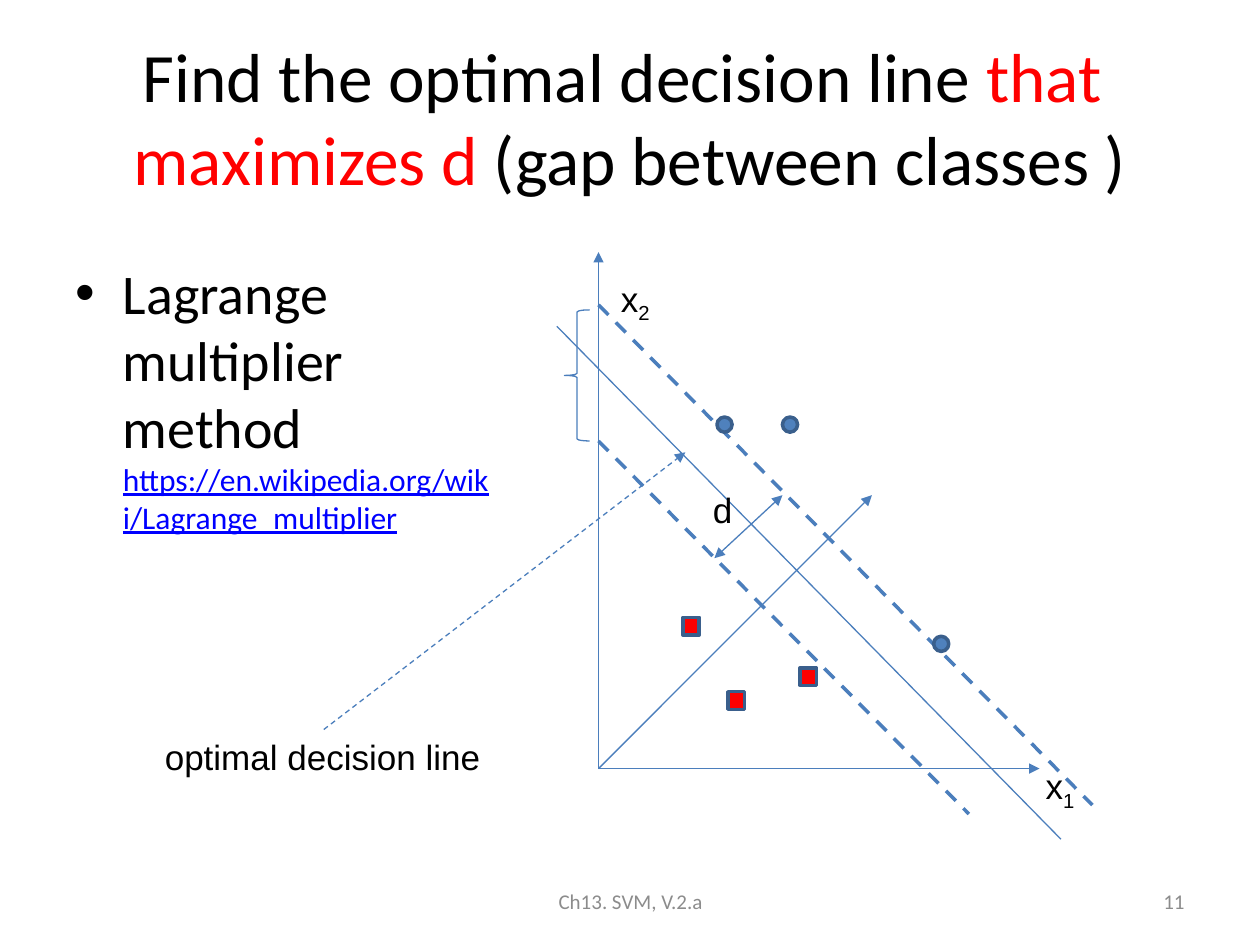
from lxml.etree import SubElement
from pptx import Presentation
from pptx.dml.color import RGBColor
from pptx.enum.dml import MSO_LINE as Dash
from pptx.enum.shapes import MSO_CONNECTOR as Link, MSO_SHAPE as Shape
from pptx.enum.text import MSO_ANCHOR as Anchor, MSO_AUTO_SIZE as Fit, PP_ALIGN as Align
from pptx.oxml.ns import qn
from pptx.util import Inches, Pt

BLACK = RGBColor(0x00, 0x00, 0x00)
RED = RGBColor(0xFF, 0x00, 0x00)
GRAY = RGBColor(0x8C, 0x8C, 0x8C)
URL = RGBColor(0x00, 0x00, 0xFF)
LINE = RGBColor(0x4B, 0x7E, 0xBC)
EDGE = RGBColor(0x3A, 0x5F, 0x8C)
BLUE = RGBColor(0x4F, 0x81, 0xBD)

BREAK = None
TITLE = [
    ("Find the optimal decision line ", 39.6, BLACK),
    ("that ", 39.6, RED),
    BREAK,
    ("maximizes d", 39.6, RED),
    (" (gap between classes )", 39.6, BLACK),
]
BODY = [
    ("Lagrange multiplier method", 32, BLACK),
    BREAK,
    ("https://en.wikipedia.org/wiki/Lagrange_multiplier", 18, URL),
]
FOOTER = [
    ("Ch13. SVM, V.2.a", (3.42, 6.95, 3.17, 0.4), Align.CENTER),
    ("11", (7.17, 6.95, 2.33, 0.4), Align.RIGHT),
]
LABELS = [
    ("x", "2", (4.83, 2.15, 0.58, 0.44)),
    ("x", "1", (8.2, 6.02, 0.58, 0.44)),
    ("d", "", (5.56, 3.83, 0.36, 0.44)),
    ("optimal decision line", "", (1.21, 5.79, 2.8, 0.44)),
]
ORIGIN = (4.75, 6.1)
TAIL, BOTH = ("tailEnd",), ("headEnd", "tailEnd")
LINES = [
    (ORIGIN, (4.75, 2), 0.75, False, TAIL),
    (ORIGIN, (8.25, 6.1), 0.75, False, TAIL),
    (ORIGIN, (6.92, 3.93), 0.75, False, TAIL),
    ((4.42, 2.59), (8.42, 6.66), 0.75, False, ()),
    ((4.75, 2.42), (8.67, 6.39), 2, True, ()),
    ((4.75, 3.5), (7.69, 6.46), 2, True, ()),
    ((5.67, 4.43), (6.21, 3.93), 0.75, False, BOTH),
    ((2.57, 5.79), (5.44, 3.59), 0.75, True, TAIL),
]
CLASSES = [
    (Shape.OVAL, BLUE, (0.12, 0.12), [(5.69, 3.31), (6.21, 3.31), (7.41, 5.05)]),
    (Shape.RECTANGLE, RED, (0.13, 0.14), [(5.42, 4.9), (5.78, 5.49), (6.35, 5.3)]),
]
BRACE = (4.48, 2.46, 0.2, 1.04)

deck = Presentation()
deck.slide_width, deck.slide_height = Inches(10), Inches(7.5)
slide = deck.slides.add_slide(deck.slide_layouts[1])
shapes = slide.shapes


def inch(nums):
    return [Inches(n) for n in nums]


def style(font, name, size, color):
    font.name, font.size = name, Pt(size)
    font.color.rgb = color


def fill_holder(holder, box, parts):
    holder.left, holder.top, holder.width, holder.height = inch(box)
    frame = holder.text_frame
    frame.auto_size = Fit.NONE
    para = frame.paragraphs[0]
    para.space_before = Pt(0)
    size = parts[0][1]
    for part in parts:
        if part is BREAK:
            para.add_line_break()
            mark = para._p.findall(qn("a:br"))[-1]
            SubElement(mark, qn("a:rPr"), sz=str(round(size * 100)))
            continue
        text, size, color = part
        run = para.add_run()
        run.text = text
        style(run.font, "Calibri", size, color)
        run.font.underline = True if color == URL else None


def add_text(text, box, name, size, color):
    frame = shapes.add_textbox(*inch(box)).text_frame
    frame.text = text
    frame.word_wrap = True
    para = frame.paragraphs[0]
    style(para.runs[0].font, name, size, color)
    return frame, para


def add_line(start, end, width, dashed, heads):
    link = shapes.add_connector(Link.STRAIGHT, *inch(start + end))
    link.line.color.rgb, link.line.width = LINE, Pt(width)
    if dashed:
        link.line.dash_style = Dash.DASH
    for head in heads:
        SubElement(link.line._get_or_add_ln(), qn("a:" + head), type="triangle")
    SubElement(link._element.spPr, qn("a:effectLst"))


def add_mark(kind, box, fill, edge, width):
    mark = shapes.add_shape(kind, *inch(box))
    mark.shadow.inherit = False
    if fill is None:
        mark.fill.background()
    else:
        mark.fill.solid()
        mark.fill.fore_color.rgb = fill
    mark.line.color.rgb, mark.line.width = edge, Pt(width)


fill_holder(shapes.title, (0.5, 0.3, 9, 1.25), TITLE)
fill_holder(slide.placeholders[1], (0.5, 2, 3.49, 4.7), BODY)

for text, box, align in FOOTER:
    frame, para = add_text(text, box, "Calibri", 12, GRAY)
    frame.vertical_anchor = Anchor.MIDDLE
    para.alignment = align

for line in LINES:
    add_line(*line)

for kind, fill, size, spots in CLASSES:
    for spot in spots:
        add_mark(kind, spot + size, fill, EDGE, 2)
add_mark(Shape.LEFT_BRACE, BRACE, None, LINE, 0.75)

for text, sub, box in LABELS:
    frame, para = add_text(text, box, "Arial", 20, BLACK)
    if sub:
        run = para.add_run()
        run.text = sub
        style(run.font, "Arial", 20, BLACK)
        run.font._element.set("baseline", "-25000")

deck.save("out.pptx")
